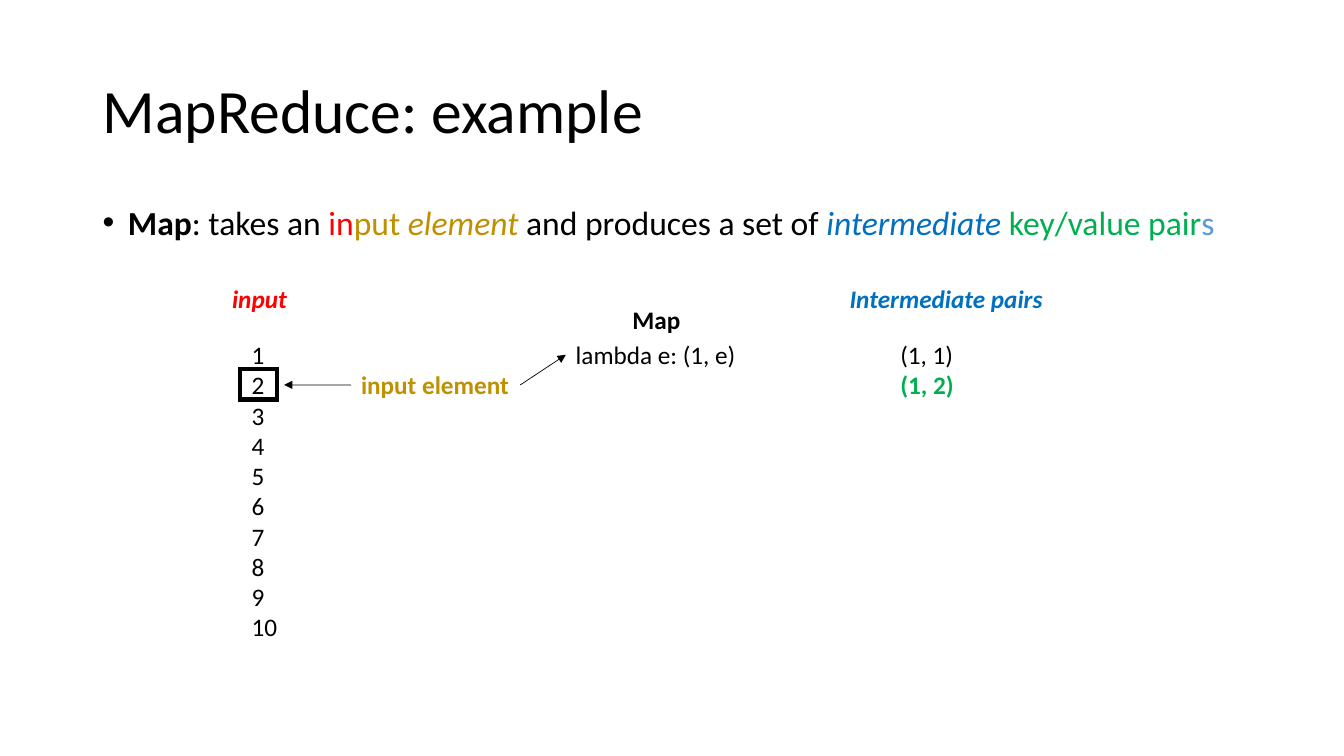
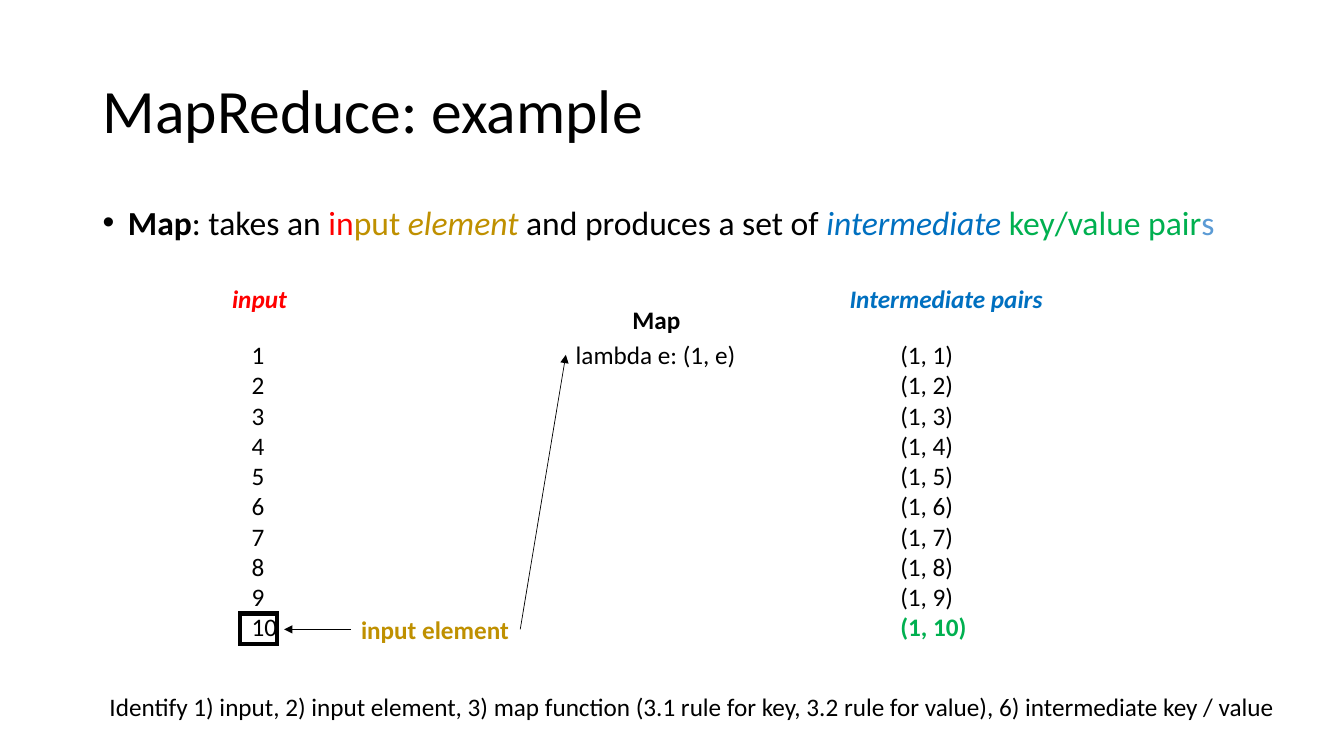
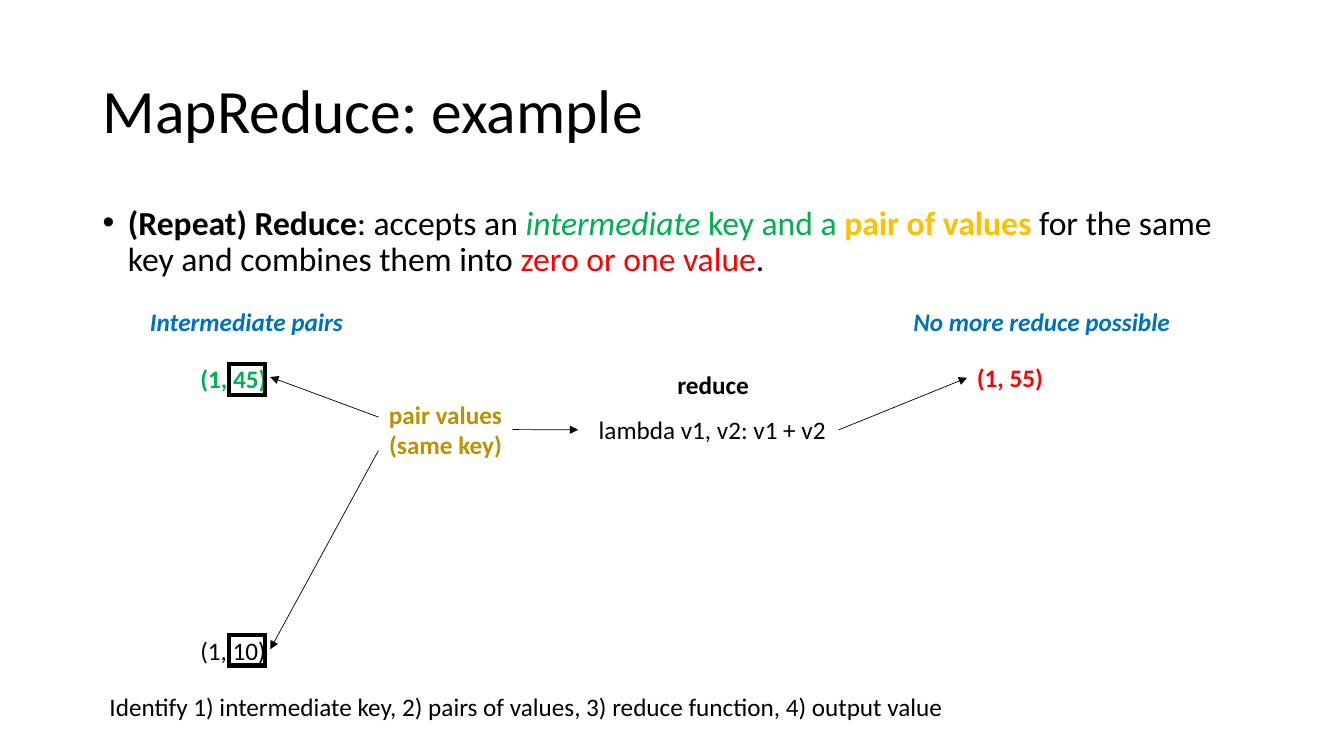
from lxml.etree import SubElement
from pptx import Presentation
from pptx.dml.color import RGBColor
from pptx.enum.shapes import MSO_CONNECTOR, MSO_SHAPE
from pptx.enum.text import MSO_ANCHOR, MSO_AUTO_SIZE, PP_ALIGN
from pptx.oxml.ns import qn
from pptx.util import Cm, Pt

# Shared style
FONT = "Calibri"
BLACK, RED, GOLD, AMBER = "000000", "FF0000", "BF9000", "FFC000"
BLUE, LIGHT_BLUE, GREEN = "0070C0", "5B9BD5", "00B050"
ROW = 0.77  # height of one text row in cm
RIGHT, LEFT = 3, 1  # connection sites


def add_runs(p, runs, size=18):
    """Each run is (text, colour, style); style holds b and/or i."""
    for text, colour, style in runs:
        r = p.add_run()
        r.text = text
        r.font.name, r.font.size = FONT, Pt(size)
        r.font.bold, r.font.italic = "b" in style, "i" in style
        r.font.color.rgb = RGBColor.from_string(colour)


def add_label(s, x, y, w, lines, wrap=False, align=PP_ALIGN.LEFT):
    """Text box with one paragraph for each run in lines."""
    sp = s.shapes.add_textbox(Cm(x), Cm(y), Cm(w), Cm(len(lines) * ROW + 0.25))
    tf = sp.text_frame
    tf.word_wrap = wrap
    tf.auto_size = MSO_AUTO_SIZE.SHAPE_TO_FIT_TEXT
    for i, line in enumerate(lines):
        p = tf.add_paragraph() if i else tf.paragraphs[0]
        p.alignment = align
        add_runs(p, [line])
    return sp


prs = Presentation()
prs.slide_width, prs.slide_height = Cm(33.87), Cm(19.05)
layout = prs.slide_layouts[1]

# Titles, bullets and bottom questions
map_bullet = [
    ("Map", BLACK, "b"), (": takes an ", BLACK, ""), ("in", RED, ""),
    ("put ", GOLD, ""), ("element", GOLD, "i"),
    (" and produces a set of ", BLACK, ""), ("intermediate ", BLUE, "i"),
    ("key/value pair", GREEN, ""), ("s", LIGHT_BLUE, ""),
]
reduce_bullet = [
    ("(Repeat) Reduce", BLACK, "b"), (": accepts an ", BLACK, ""),
    ("intermediate ", GREEN, "i"), ("key and a ", GREEN, ""),
    ("pair of values ", AMBER, "b"),
    ("for the same key and combines them into ", BLACK, ""),
    ("zero or one value", RED, ""), (".", BLACK, ""),
]
map_question = ("Identify 1) input, 2) input element, 3) map function (3.1 rule for key, "
                "3.2 rule for value), 6) intermediate key / value")
reduce_question = ("Identify 1) intermediate key, 2) pairs of values, "
                   "3) reduce function, 4) output value")

slides = []
for bullet, body_height, question, question_width in [
    (map_bullet, 1.3, "", 0),
    (map_bullet, 1.3, map_question, 30.25),
    (reduce_bullet, 2.16, reduce_question, 22.04),
]:
    s = prs.slides.add_slide(layout)
    title, body = s.placeholders
    for sp, top, height, runs, size in [
        (title, 1.01, 3.68, [("MapReduce: example", BLACK, "")], 44),
        (body, 5.07, body_height, bullet, 24),
    ]:
        sp.left, sp.top, sp.width, sp.height = Cm(2.33), Cm(top), Cm(29.21), Cm(height)
        sp.text_frame.auto_size = MSO_AUTO_SIZE.NONE
        p = sp.text_frame.paragraphs[0]
        p.alignment, p.line_spacing = PP_ALIGN.LEFT, 0.9
        add_runs(p, runs, size)
    title.text_frame.vertical_anchor = MSO_ANCHOR.MIDDLE
    p.space_before = Pt(10)
    pPr = p._p.get_or_add_pPr()
    pPr.set("marL", str(Cm(0.64)))
    pPr.set("indent", str(-Cm(0.64)))
    SubElement(pPr, qn("a:buFont"), typeface="Arial")
    SubElement(pPr, qn("a:buChar"), char="•")
    if question:
        add_label(s, 2.51, 17.3, question_width, [(question, BLACK, "")])
    slides.append(s)

frames = []  # (slide, left, top, width)
arrows = []  # (slide, start, end, box at start, box at end)

# Map slides: the second and the tenth element
for s, current in zip(slides, (2, 10)):
    shift = (current - 2) * ROW
    pairs = [(f"(1, {n})", BLACK, "") for n in range(1, current)]
    pairs.append((f"(1, {current})", GREEN, "b"))
    add_label(s, 6.09, 8.43, 1.3, [(str(n), BLACK, "") for n in range(1, 11)], wrap=True)
    add_label(s, 22.44, 8.43, 2.37, pairs, wrap=True)
    add_label(s, 5.6, 7.02, 2, [("input", RED, "bi")])
    add_label(s, 21.16, 7.02, 5.44, [("Intermediate pairs", BLUE, "bi")])
    add_label(s, 15.69, 7.55, 1.74, [("Map", BLACK, "b")])
    function = add_label(s, 14.26, 8.43, 4.6, [("lambda e: (1, e)", BLACK, "")])
    element = add_label(s, 8.85, 9.19 + shift, 4.26, [("input element", GOLD, "b")])
    frames.append((s, 6.04, 9.3 + shift, 0.95))
    y = 9.7 + shift
    arrows.append((s, (8.85, y), (7.16, y), (element, LEFT), None))
    arrows.append((s, (13.11, y), (14.26, 8.94), (element, RIGHT), (function, LEFT)))

# Reduce slide
s = slides[2]
add_label(s, 4.8, 9.03, 2.22, [("(1, 45)", GREEN, "b")], wrap=True)
add_label(s, 4.8, 15.88, 2.22, [("(1, 10)", BLACK, "")], wrap=True)
result = add_label(s, 24.37, 9.01, 2.22, [("(1, 55)", RED, "b")], wrap=True)
add_label(s, 3.53, 7.59, 5.44, [("Intermediate pairs", BLUE, "bi")])
add_label(s, 22.77, 7.59, 7.07, [("No more reduce possible", BLUE, "bi")])
add_label(s, 16.82, 9.18, 2.32, [("reduce", BLACK, "b")])
function = add_label(s, 14.84, 10.32, 6.3, [("lambda v1, v2: v1 + v2", BLACK, "")])
values = add_label(s, 9.54, 9.93, 3.38,
                   [("pair values", GOLD, "b"), ("(same key)", GOLD, "b")],
                   align=PP_ALIGN.CENTER)
frames += [(s, 5.77, 9.18, 0.91), (s, 5.77, 16, 0.91)]
arrows += [
    (s, (9.54, 10.51), (6.81, 9.5), None, None),
    (s, (9.54, 11.35), (6.81, 16.36), None, None),
    (s, (12.92, 10.83), (14.57, 10.83), (values, RIGHT), None),
    (s, (21.14, 10.83), (24.37, 9.52), (function, RIGHT), (result, LEFT)),
]

# Frames around the current values, with sharp corners
for s, x, y, w in frames:
    sp = s.shapes.add_shape(MSO_SHAPE.RECTANGLE, Cm(x), Cm(y), Cm(w), Cm(ROW))
    sp.shadow.inherit = False
    sp.fill.background()
    sp.line.color.rgb = RGBColor.from_string(BLACK)
    sp.line.width = Pt(3)
    SubElement(sp._element.spPr.find(qn("a:ln")), qn("a:miter"), lim="800000")

# Arrows
for s, start, end, start_box, end_box in arrows:
    c = s.shapes.add_connector(MSO_CONNECTOR.STRAIGHT, *map(Cm, start + end))
    if start_box:
        c.begin_connect(*start_box)
    if end_box:
        c.end_connect(*end_box)
    c.line.color.rgb = RGBColor.from_string(BLACK)
    c.line.width = Pt(0.5)
    spPr = c._element.spPr
    SubElement(spPr.find(qn("a:ln")), qn("a:tailEnd"), type="triangle")
    SubElement(spPr, qn("a:effectLst"))

prs.save("out.pptx")
